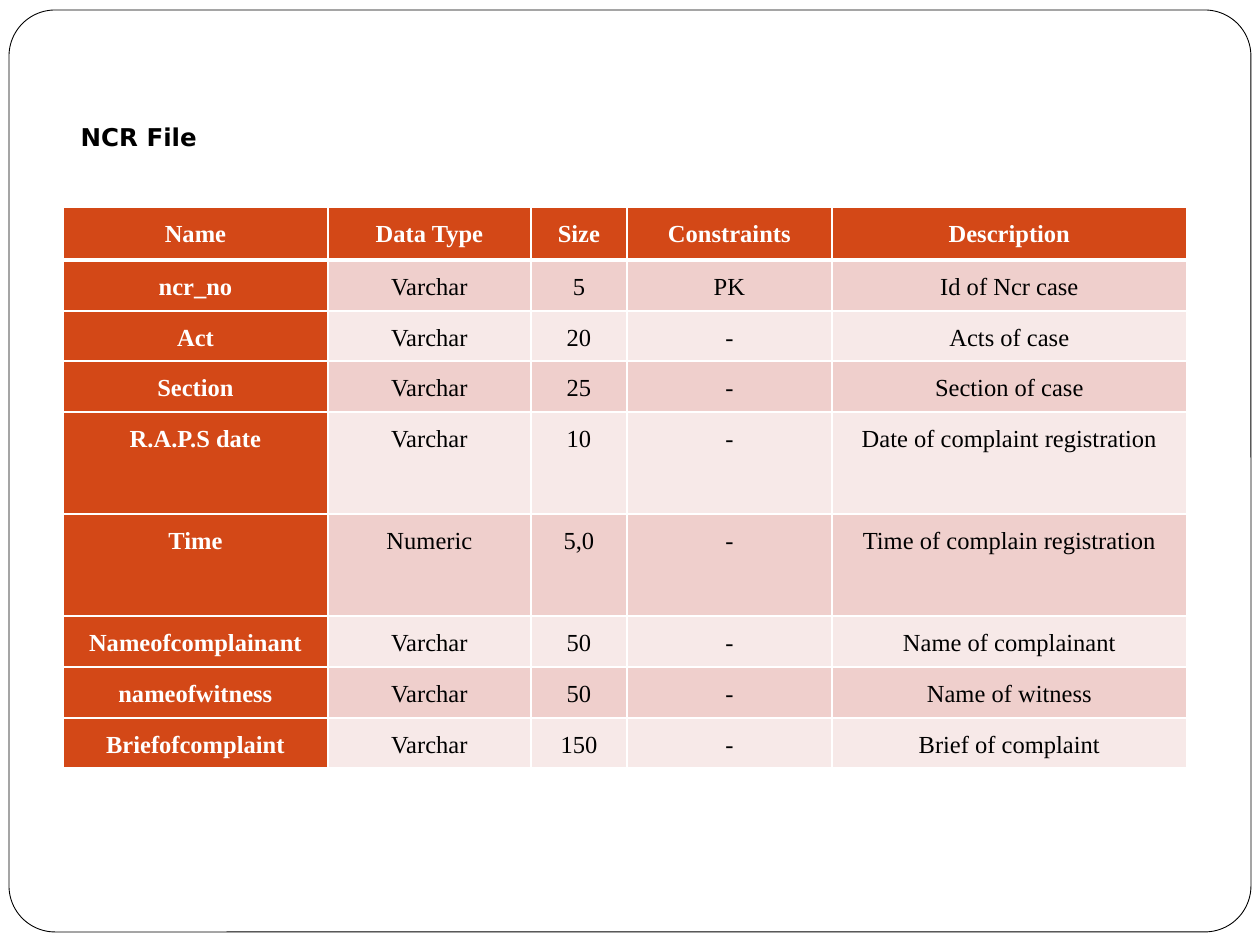
import dataclasses

import pptx
import pptx.dml.color
import pptx.enum.shapes
import pptx.enum.text
import pptx.oxml.ns
import pptx.util
from lxml import etree

EMU_PER_PX = 914400 // 126


@dataclasses.dataclass(frozen=True)
class Theme:
    white: str = "FFFFFF"
    black: str = "000000"
    accent: str = "D34817"
    bands: tuple = ("EFCFCC", "F7E9E8")
    heading_font: str = "DejaVu Sans"
    table_font: str = "Times New Roman"
    text_size: int = 14
    frame_line: float = 0.5
    grid_line: int = 1
    header_line: int = 3


THEME = Theme()

COLUMN_WIDTHS = (265, 203, 96, 205, 355)
ROW_HEIGHTS = (53, 51, 50, 51, 102, 102, 51, 51, 50)
ROWS = (
    ("Name", "Data Type", "Size", "Constraints", "Description"),
    ("ncr_no", "Varchar", "5", "PK", "Id of Ncr case"),
    ("Act", "Varchar", "20", "-", "Acts of case"),
    ("Section", "Varchar", "25", "-", "Section of case"),
    ("R.A.P.S date", "Varchar", "10", "-", "Date of complaint registration"),
    ("Time", "Numeric", "5,0", "-", "Time of complain registration"),
    ("Nameofcomplainant", "Varchar", "50", "-", "Name of complainant"),
    ("nameofwitness", "Varchar", "50", "-", "Name of witness"),
    ("Briefofcomplaint", "Varchar", "150", "-", "Brief of complaint"),
)


def px(length):
    return pptx.util.Emu(length * EMU_PER_PX)


def rgb(color):
    return pptx.dml.color.RGBColor.from_string(color)


def format_runs(paragraph, font_name, color, bold):
    for run in paragraph.runs:
        run.font.name = font_name
        run.font.size = pptx.util.Pt(THEME.text_size)
        run.font.bold = bold
        run.font.color.rgb = rgb(color)


def add_frame(slide):
    frame = slide.shapes.add_shape(
        pptx.enum.shapes.MSO_SHAPE.ROUNDED_RECTANGLE,
        px(9), px(10), px(1242), px(922))
    frame.adjustments[0] = 0.05
    frame.shadow.inherit = False
    frame.fill.solid()
    frame.fill.fore_color.rgb = rgb(THEME.white)
    frame.line.color.rgb = rgb(THEME.black)
    frame.line.width = pptx.util.Pt(THEME.frame_line)
    # Behind the title, after the two property elements of the shape tree
    frame._element.getparent().insert(2, frame._element)


def set_title(slide, text):
    title = slide.shapes.title
    title.left, title.top, title.width, title.height = map(px, (53, 116, 1134, 777))
    text_frame = title.text_frame
    text_frame.text = text
    text_frame.word_wrap = True
    text_frame.auto_size = pptx.enum.text.MSO_AUTO_SIZE.NONE
    text_frame.vertical_anchor = pptx.enum.text.MSO_ANCHOR.TOP
    paragraph = text_frame.paragraphs[0]
    paragraph.alignment = pptx.enum.text.PP_ALIGN.LEFT
    paragraph.space_before = pptx.util.Pt(5.8)
    paragraph._p.get_or_add_pPr().set("marL", str(px(15)))
    format_runs(paragraph, THEME.heading_font, THEME.black, True)


def set_border(cell, edge, width):
    qn = pptx.oxml.ns.qn
    properties = cell._tc.get_or_add_tcPr()
    line = etree.SubElement(properties, qn(f"a:ln{edge}"), w=str(pptx.util.Pt(width)))
    fill = etree.SubElement(line, qn("a:solidFill"))
    etree.SubElement(fill, qn("a:srgbClr"), val=THEME.white)


def format_cell(cell, text, row, column):
    is_heading = row == 0 or column == 0

    # Borders come before the fill in the cell properties
    heavy_edge = {0: "B", 1: "T"}.get(row)
    for edge in "LRTB":
        set_border(cell, edge, THEME.header_line if edge == heavy_edge else THEME.grid_line)
    cell.fill.solid()
    cell.fill.fore_color.rgb = rgb(THEME.accent if is_heading else THEME.bands[(row - 1) % 2])

    cell.margin_left = cell.margin_right = px(9)
    cell.margin_top = cell.margin_bottom = 0
    cell.text_frame.text = text
    paragraph = cell.text_frame.paragraphs[0]
    paragraph.alignment = pptx.enum.text.PP_ALIGN.CENTER
    paragraph.line_spacing = 1.5
    format_runs(paragraph, THEME.table_font,
                THEME.white if is_heading else THEME.black, is_heading)


def add_field_table(slide):
    table = slide.shapes.add_table(
        len(ROWS), len(COLUMN_WIDTHS), px(63), px(207),
        px(sum(COLUMN_WIDTHS)), px(sum(ROW_HEIGHTS))).table
    table.first_col = True
    for column, width in zip(table.columns, COLUMN_WIDTHS):
        column.width = px(width)
    for row, height in zip(table.rows, ROW_HEIGHTS):
        row.height = px(height)
    for row, texts in enumerate(ROWS):
        for column, text in enumerate(texts):
            format_cell(table.cell(row, column), text, row, column)


def main():
    presentation = pptx.Presentation()
    presentation.slide_width = px(1260)
    presentation.slide_height = px(945)
    slide = presentation.slides.add_slide(presentation.slide_layouts.get_by_name("Title Only"))
    add_frame(slide)
    set_title(slide, "NCR File")
    add_field_table(slide)
    presentation.save("out.pptx")


if __name__ == "__main__":
    main()
